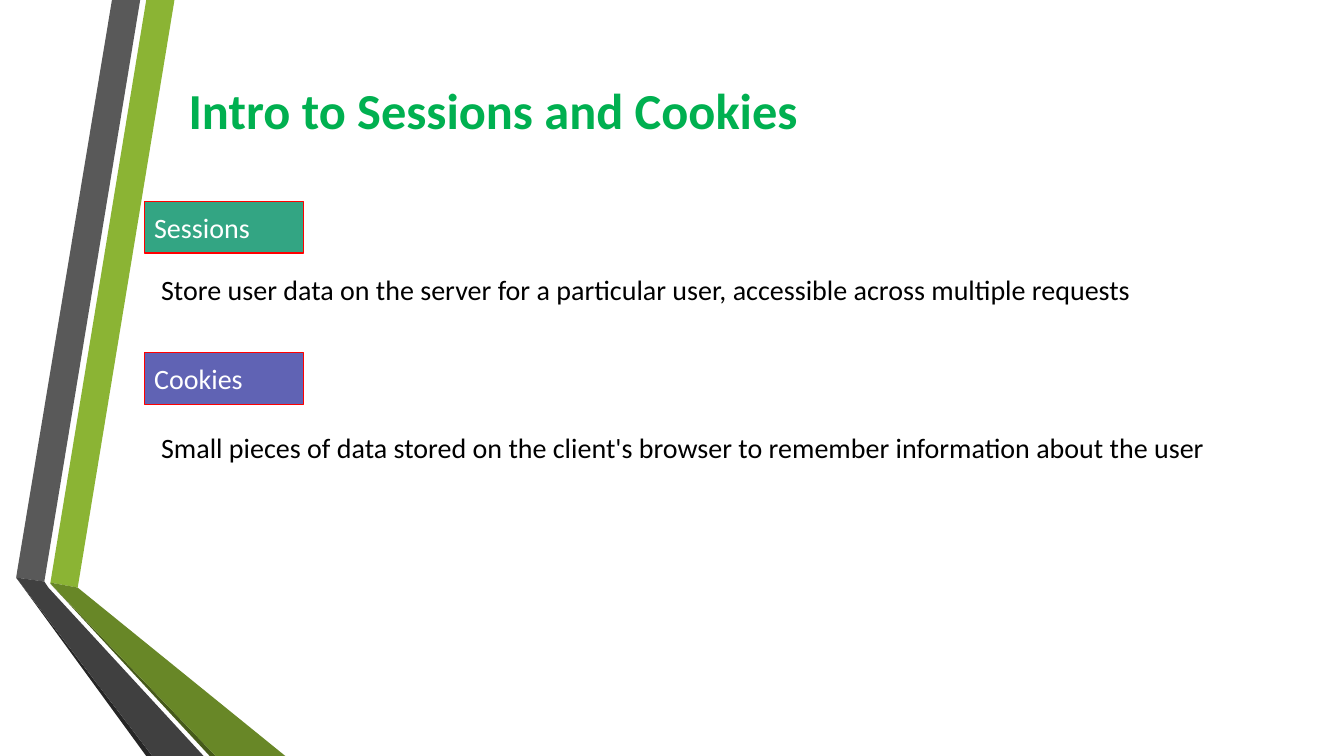
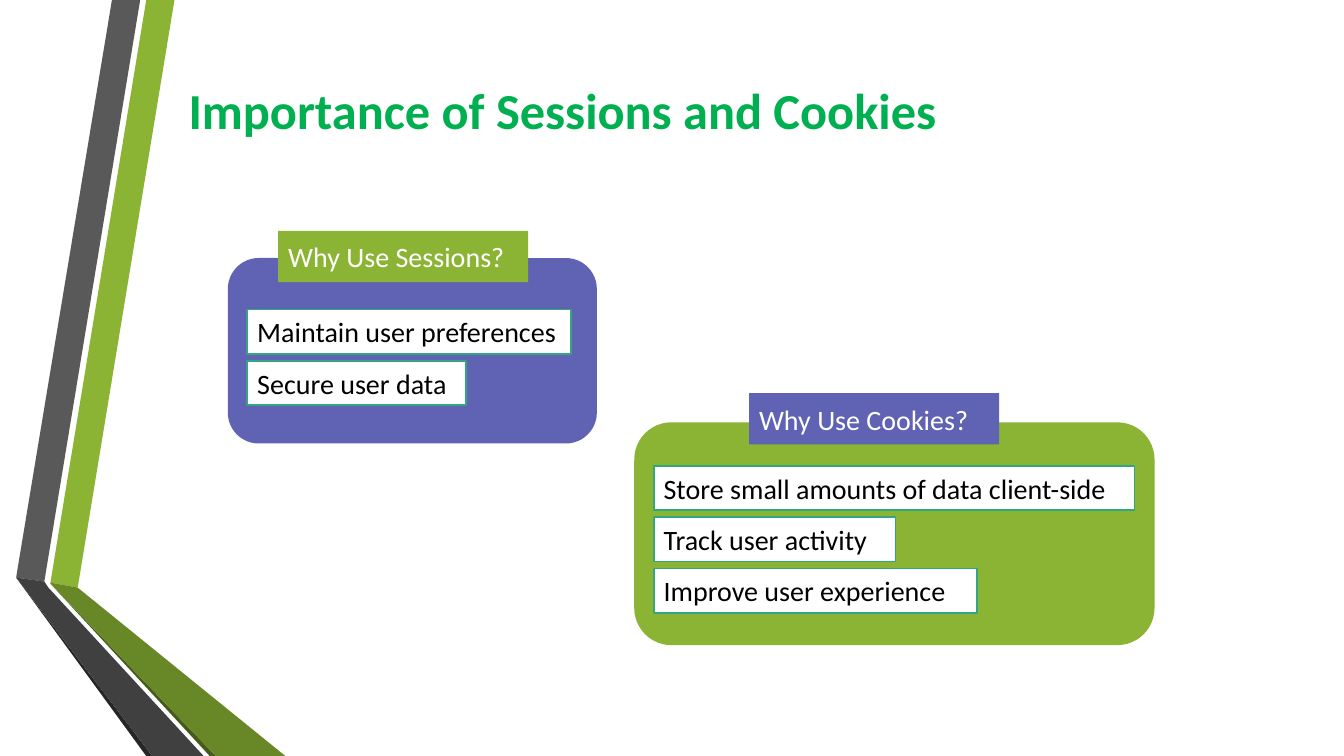
"""Builds two slides on sessions and cookies beside a folded ribbon."""
from pptx import Presentation
from pptx.dml.color import RGBColor
from pptx.enum.shapes import MSO_SHAPE
from pptx.enum.text import MSO_ANCHOR, MSO_AUTO_SIZE, PP_ALIGN
from pptx.util import Inches, Pt

RECTANGLE, ROUNDED = MSO_SHAPE.RECTANGLE, MSO_SHAPE.ROUNDED_RECTANGLE
MIDDLE, LEFT, NO_FIT = MSO_ANCHOR.MIDDLE, PP_ALIGN.LEFT, MSO_AUTO_SIZE.NONE

COLORS = {
    "title": "00B050", "text": "000000", "white": "FFFFFF", "edge": "FF0000",
    "teal": "33A583", "violet": "6063B4", "green": "8BB434",
    "green fold": "688727", "green shade": "465A1A",
    "gray": "595959", "gray fold": "404040", "gray shade": "262626",
}
FONT = "Calibri"

deck = Presentation()
deck.slide_width, deck.slide_height = Inches(13.33), Inches(7.5)
COLUMN, ROW = deck.slide_width / 100, deck.slide_height / 100


def write(box, text, color, size=20, bold=False):
    """Put one left-aligned line of text into a box."""
    frame = box.text_frame
    frame.text = text
    frame.word_wrap = True
    frame.auto_size = NO_FIT
    frame.vertical_anchor = MIDDLE
    para = frame.paragraphs[0]
    para.alignment = LEFT
    font = para.runs[0].font
    font.name, font.size, font.bold = FONT, Pt(size), bold
    font.color.rgb = RGBColor.from_string(COLORS[color])


def add_box(shapes, area, fill, kind=RECTANGLE, line=None, weight=0.75):
    """Add a filled shape, its area given in columns and rows."""
    left, top, width, height = area
    box = shapes.add_shape(kind, round(left * COLUMN), round(top * ROW),
                           round(width * COLUMN), round(height * ROW))
    box.shadow.inherit = False
    box.fill.solid()
    box.fill.fore_color.rgb = RGBColor.from_string(COLORS[fill])
    if line:
        box.line.color.rgb = RGBColor.from_string(COLORS[line])
        box.line.width = Pt(weight)
    else:
        box.line.fill.background()
    return box


layout = deck.slide_layouts[5]
pages = []
for heading, width in [("Intro to Sessions and Cookies", 48.69),
                       ("Importance of Sessions and Cookies", 59.94)]:
    page = deck.slides.add_slide(layout)
    title = page.shapes.title
    title.left, title.top = round(13.28 * COLUMN), round(10.27 * ROW)
    title.width, title.height = round(width * COLUMN), round(8.4 * ROW)
    write(title, heading, "title", 36, True)
    pages.append(page)
intro, importance = pages

ribbons = [
    ("green", [(3.75, 77.07), (5.78, 77.73), (12.98, 0), (10.88, 0)]),
    ("gray", [(10.43, 0), (8.33, 0), (1.2, 76.4), (3.3, 76.93)]),
    ("gray shade", [(1.2, 76.4), (10.88, 100), (11.33, 100)]),
    ("green shade", [(3.75, 77.2), (15.6, 100), (16.05, 100)]),
    ("green fold", [(3.75, 77.07), (3.75, 77.2), (16.05, 100), (21.23, 100),
                    (5.78, 77.73)]),
    ("gray fold", [(15.15, 100), (3.6, 77.73), (3.3, 76.93), (1.2, 76.4),
                   (11.33, 100)]),
]
for index, (color, corners) in enumerate(ribbons):
    points = [(x * COLUMN, y * ROW) for x, y in corners]
    builder = intro.shapes.build_freeform(*points[0])
    builder.add_line_segments(points[1:])
    ribbon = builder.convert_to_shape()
    ribbon.shadow.inherit = False
    ribbon.fill.solid()
    ribbon.fill.fore_color.rgb = RGBColor.from_string(COLORS[color])
    ribbon.line.fill.background()
    ribbon.element.nvSpPr.cNvPr.id = 20 + index
    layout.shapes.element.insert(2 + index, ribbon.element)

definitions = [
    ("Sessions", "teal", 26.67, 35.33, 5.87,
     "Store user data on the server for a particular user, "
     "accessible across multiple requests"),
    ("Cookies", "violet", 46.67, 55.87, 6.53,
     "Small pieces of data stored on the client's browser "
     "to remember information about the user"),
]
for term, color, label_top, text_top, text_height, meaning in definitions:
    label = add_box(intro.shapes, (10.73, label_top, 11.85, 6.8), color,
                    line="edge")
    write(label, term, "white")
    box = intro.shapes.add_textbox(round(11.25 * COLUMN), round(text_top * ROW),
                                   round(83.12 * COLUMN), round(text_height * ROW))
    write(box, meaning, "text")

panels = [
    ("Why Use Sessions?", "violet", "green", (16.95, 34.13, 27.46, 24.53),
     (20.7, 30.53), 40.93,
     [("Maintain user preferences", 24.08), ("Secure user data", 16.28)]),
    ("Why Use Cookies?", "green", "violet", (47.19, 55.87, 38.71, 29.47),
     (55.74, 52), 61.6,
     [("Store small amounts of data client-side", 35.78),
      ("Track user activity", 18), ("Improve user experience", 24.08)]),
]
for question, panel_color, tab_color, area, corner, first_row, reasons in panels:
    group = importance.shapes.add_group_shape()
    add_box(group.shapes, area, panel_color, ROUNDED)
    tab = add_box(group.shapes, (*corner, 18.6, 6.8), tab_color)
    write(tab, question, "white")
    for index, (reason, width) in enumerate(reasons):
        spot = (area[0] + 1.45, first_row + 6.8 * index, width, 5.87)
        item = add_box(importance.shapes, spot, "white", line="teal", weight=1.25)
        write(item, reason, "text")

deck.save("out.pptx")
